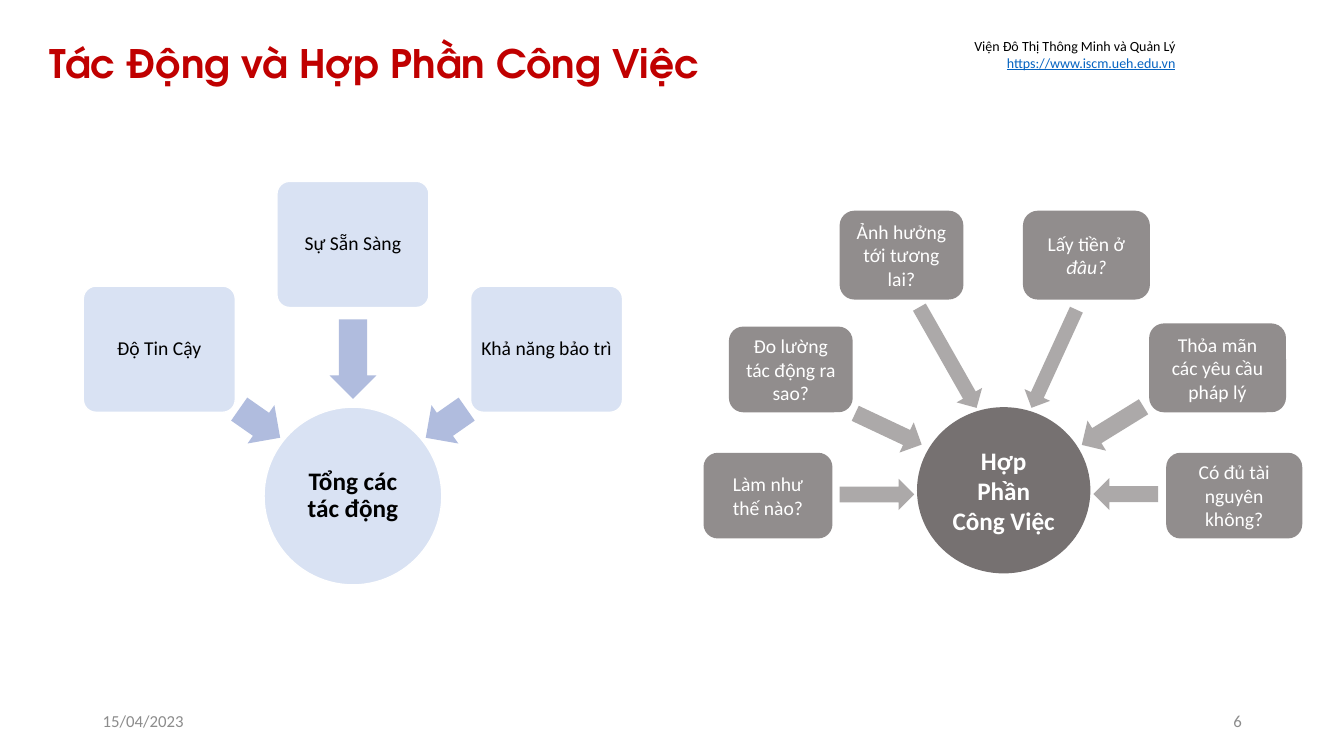
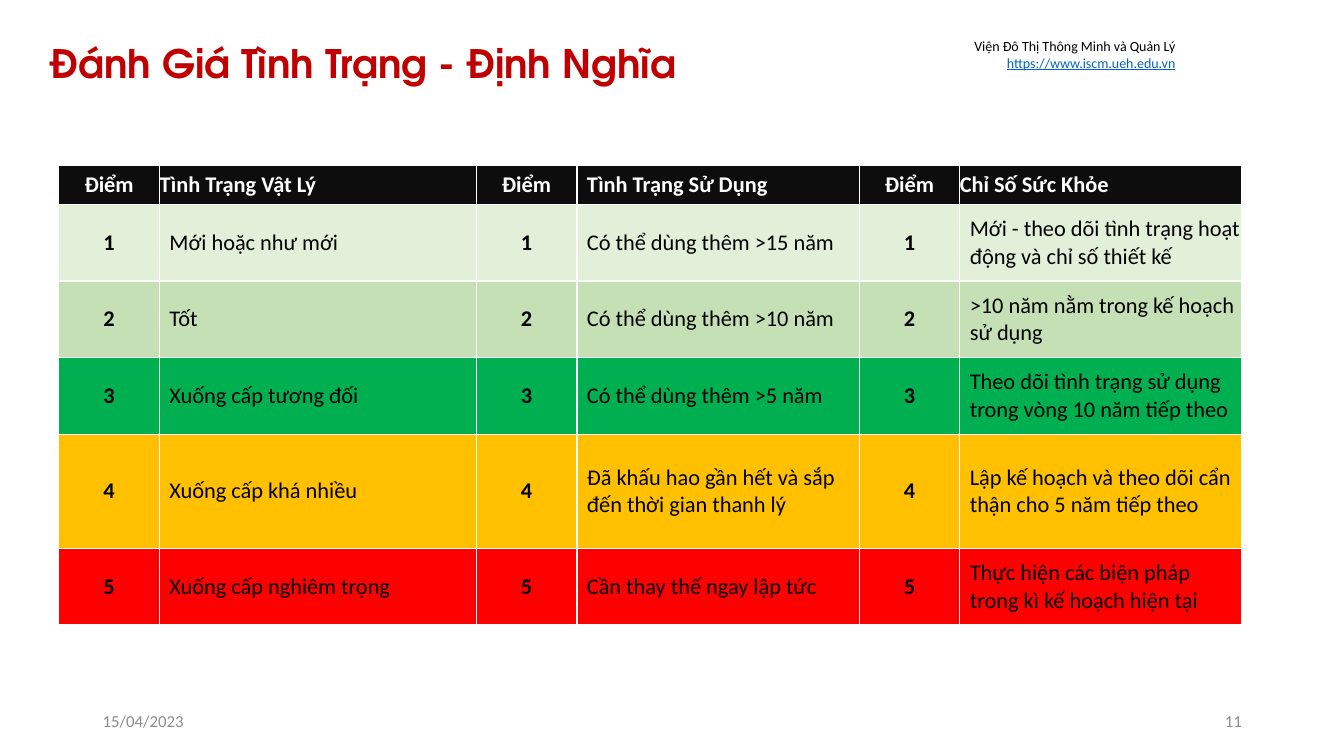
from dataclasses import dataclass

from lxml import etree
from pptx import Presentation
from pptx.dml.color import RGBColor
from pptx.enum.shapes import MSO_SHAPE
from pptx.enum.text import MSO_ANCHOR, MSO_AUTO_SIZE, PP_ALIGN
from pptx.oxml.ns import qn
from pptx.util import Cm, Pt

LEFT, MID, RIGHT = PP_ALIGN.LEFT, PP_ALIGN.CENTER, PP_ALIGN.RIGHT
CENTRE, BOTTOM, TOP = MSO_ANCHOR.MIDDLE, MSO_ANCHOR.BOTTOM, MSO_ANCHOR.TOP
FIXED = MSO_AUTO_SIZE.NONE
ROUND, OVAL = MSO_SHAPE.ROUNDED_RECTANGLE, MSO_SHAPE.OVAL
ARROW = MSO_SHAPE.RIGHT_ARROW


@dataclass(frozen=True)
class Theme:
    head: str = "TeX Gyre Adventor"
    body: str = "Calibri"
    red: str = "C00000"
    black: str = "000000"
    white: str = "FFFFFF"
    grey: str = "8C8C8C"
    link: str = "0563C1"
    blue: str = "4472C4"
    pale: str = "B0BCDE"
    stone: str = "767171"
    bar: str = "0D0D0D"
    grades: tuple = ("E2F0D9", "C5E0B4", "00B050", "FFC000", "FF0000")
    title: int = 28
    hub: int = 18
    cell: int = 16
    node: int = 14
    foot: int = 12
    note: int = 10


T = Theme()


def rgb(code):
    return RGBColor.from_string(code)


def add_run(para, text, size, color, bold=False, italic=False, line=False, face=T.body):
    run = para.add_run()
    run.text = text
    font = run.font
    font.name, font.size = face, Pt(size)
    font.bold, font.italic, font.underline = bold, italic, line
    font.color.rgb = rgb(color)


def set_frame(frame, anchor, side=0.25, edge=0.13):
    frame.word_wrap = True
    frame.auto_size = FIXED
    frame.vertical_anchor = anchor
    frame.margin_left = frame.margin_right = Cm(side)
    frame.margin_top = frame.margin_bottom = Cm(edge)


def add_text(slide, box, align, anchor):
    frame = slide.shapes.add_textbox(*map(Cm, box)).text_frame
    set_frame(frame, anchor)
    para = frame.paragraphs[0]
    para.alignment = align
    return para


def add_form(slide, kind, box, color, alpha=100, edge=None):
    shape = slide.shapes.add_shape(kind, *map(Cm, box))
    shape.shadow.inherit = False
    shape.fill.solid()
    shape.fill.fore_color.rgb = rgb(color)
    if alpha < 100:
        tint = shape.fill._xPr.find(qn("a:solidFill"))[0]
        etree.SubElement(tint, qn("a:alpha")).set("val", str(alpha * 1000))
    if edge:
        shape.line.color.rgb = rgb(edge)
        shape.line.width = Pt(1)
    else:
        shape.line.fill.background()
    return shape


def label(shape, size, color, words, bold=False, side=0.25, space=1.0):
    set_frame(shape.text_frame, CENTRE, side)
    para = shape.text_frame.paragraphs[0]
    para.alignment = MID
    para.line_spacing = space
    for text, italic in words:
        add_run(para, text, size, color, bold, italic)


def add_arrow(slide, spot, size, angle, color, alpha=100, shaft=0.5):
    (x, y), (w, h) = spot, size
    arrow = add_form(slide, ARROW, (x - w / 2, y - h / 2, w, h), color, alpha)
    arrow.adjustments[0], arrow.adjustments[1] = shaft, 0.5
    arrow.rotation = angle


def add_base(deck, title, number):
    slide = deck.slides.add_slide(deck.slide_layouts[5])
    head = slide.shapes.title
    head.left, head.top, head.width, head.height = map(Cm, (1, 0.81, 31.9, 1.63))
    set_frame(head.text_frame, BOTTOM, edge=0.25)
    para = head.text_frame.paragraphs[0]
    para.alignment = LEFT
    para.line_spacing = 0.9
    add_run(para, title, T.title, T.red, bold=True, face=T.head)

    para = add_text(slide, (23.98, 0.81, 5.89, 1.12), RIGHT, TOP)
    add_run(para, "Viện Đô Thị Thông Minh và Quản Lý", T.note, T.black)
    para.add_line_break()
    add_run(para, "https://www.iscm.ueh.edu.vn", T.note, T.link, line=True)

    for left, align, text in ((2.34, LEFT, "15/04/2023"), (23.93, RIGHT, number)):
        para = add_text(slide, (left, 17.65, 7.62, 1.02), align, CENTRE)
        add_run(para, text, T.foot, T.grey)
    return slide


def add_impact(slide, box):
    x, y, w, h = box
    wide, high, disc = 3.83, 3.18, 4.48
    pitch = (w - wide) / 2
    mid = x + w / 2
    hub = add_form(slide, OVAL, (mid - disc / 2, y + h - disc, disc, disc), T.blue, 20, T.white)
    label(hub, T.hub, T.black, [("Tổng các tác động", False)], True, space=0.9)
    names = ("Độ Tin Cậy", "Sự Sẵn Sàng", "Khả năng bảo trì")
    for step, name in zip((-1, 0, 1), names):
        drop, reach, size = (2.64, 6.1, 1.26) if step else (0, 4.48, 2)
        add_arrow(slide, (mid + step * 2.35, y + reach), (size, 1.18),
                  90 + 55 * step, T.pale, shaft=0.6)
        place = (mid + step * pitch - wide / 2, y + drop, wide, high)
        node = add_form(slide, ROUND, place, T.blue, 20, T.white)
        node.adjustments[0] = 0.1
        label(node, T.node, T.black, [(name, False)], side=0.15, space=0.9)


def add_work(slide, box):
    x, y, w, h = box
    hub = add_form(slide, OVAL, (x + 5.38, y + h - 4.19, 4.37, 4.19), T.stone)
    label(hub, T.hub, T.white, [("Hợp Phần Công Việc", False)], True)
    nodes = (
        (0, 6.1, 3.25, 2.16, [("Làm như thế nào?", False)]),
        (0.64, 2.92, 3.12, 2.16, [("Đo lường tác động ra sao?", False)]),
        (3.43, 0, 3.12, 2.24, [("Ảnh hưởng tới tương lai?", False)]),
        (8.05, 0, 3.2, 2.24, [("Lấy tiền ở ", False), ("đâu?", True)]),
        (11.23, 2.84, 3.45, 2.24, [("Thỏa mãn các yêu cầu pháp lý", False)]),
        (w - 3.43, 6.1, 3.43, 2.16, [("Có đủ tài nguyên không?", False)]),
    )
    for left, top, wide, high, words in nodes:
        node = add_form(slide, ROUND, (x + left, y + top, wide, high), T.stone, 80)
        label(node, T.node, T.white, words)
    arrows = (
        (4.37, 7.15, 1.88, 0.79, 0),
        (4.66, 5.5, 1.85, 0.84, 25.2),
        (6.16, 3.7, 2.92, 0.74, 60.4),
        (8.83, 3.73, 2.72, 0.71, 114.6),
        (10.31, 5.42, 1.83, 0.89, 148.3),
        (10.64, 7.14, 1.63, 0.81, 180),
    )
    for left, top, wide, high, angle in arrows:
        add_arrow(slide, (x + left, y + top), (wide, high), angle, T.stone, 60)


def set_edge(cell):
    props = cell._tc.get_or_add_tcPr()
    for side in ("lnL", "lnR", "lnT", "lnB"):
        line = etree.SubElement(props, qn("a:" + side), w=str(Pt(1)))
        fill = etree.SubElement(line, qn("a:solidFill"))
        etree.SubElement(fill, qn("a:srgbClr"), val=T.white)


def fill_cell(cell, text, fill, color, bold, align, inset):
    set_edge(cell)
    cell.fill.solid()
    cell.fill.fore_color.rgb = rgb(fill)
    cell.vertical_anchor = CENTRE
    cell.margin_left = Cm(inset)
    cell.margin_right = cell.margin_top = cell.margin_bottom = 0
    para = cell.text_frame.paragraphs[0]
    para.alignment = align
    add_run(para, text, T.cell, color, bold)


def add_grades(slide, box):
    heads = ("Tình Trạng Vật Lý", "Tình Trạng Sử Dụng", "Chỉ Số Sức Khỏe")
    rows = (
        ("Mới hoặc như mới", "Có thể dùng thêm >15 năm",
         "Mới - theo dõi tình trạng hoạt động và chỉ số thiết kế"),
        ("Tốt", "Có thể dùng thêm >10 năm", ">10 năm nằm trong kế hoạch sử dụng"),
        ("Xuống cấp tương đối", "Có thể dùng thêm >5 năm",
         "Theo dõi tình trạng sử dụng trong vòng 10 năm tiếp theo"),
        ("Xuống cấp khá nhiều", "Đã khấu hao gần hết và sắp đến thời gian thanh lý",
         "Lập kế hoạch và theo dõi cẩn thận cho 5 năm tiếp theo"),
        ("Xuống cấp nghiêm trọng", "Cần thay thế ngay lập tức",
         "Thực hiện các biện pháp trong kì kế hoạch hiện tại"),
    )
    grid = slide.shapes.add_table(len(rows) + 1, 2 * len(heads), *map(Cm, box)).table
    for col, wide in zip(grid.columns, (2.54, 7.98, 2.54, 7.11, 2.54, 7.11)):
        col.width = Cm(wide)
    for row, high in zip(grid.rows, (0.97, 1.93, 1.93, 1.93, 2.88, 1.93)):
        row.height = Cm(high)
    fills = (T.bar,) + T.grades
    for r, (texts, fill) in enumerate(zip((heads,) + rows, fills)):
        top = r == 0
        color = T.white if top else T.black
        for c, text in enumerate(texts):
            mark = "Điểm" if top else str(r)
            inset = 0 if top and c != 1 else 0.25
            fill_cell(grid.cell(r, 2 * c), mark, fill, color, True, MID, 0)
            fill_cell(grid.cell(r, 2 * c + 1), text, fill, color, top, LEFT, inset)


def main():
    deck = Presentation()
    deck.slide_width, deck.slide_height = Cm(33.87), Cm(19.05)
    slide = add_base(deck, "Tác Động và Hợp Phần Công Việc", "6")
    add_impact(slide, (2.1, 4.57, 13.59, 10.17))
    add_work(slide, (17.73, 5.31, 15.09, 9.14))
    slide = add_base(deck, "Đánh Giá Tình Trạng - Định Nghĩa", "11")
    add_grades(slide, (1.48, 4.18, 29.82, 11.57))
    deck.save("out.pptx")


if __name__ == "__main__":
    main()
